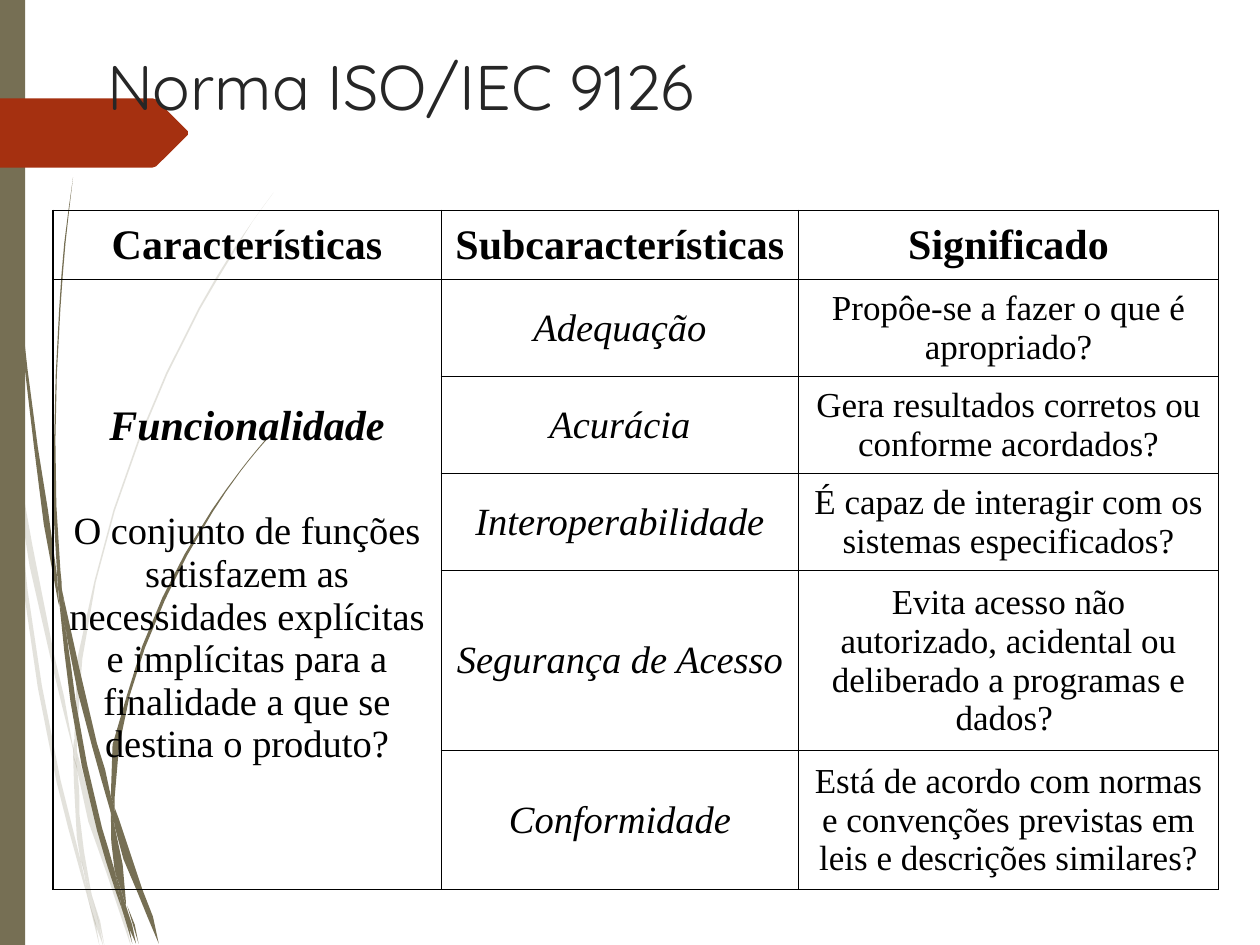
from dataclasses import dataclass

import pptx
import pptx.dml.color
import pptx.enum.shapes
import pptx.enum.text
import pptx.oxml
import pptx.oxml.ns
import pptx.util

EMU_PER_PX = 9144
SLIDE_WIDTH, SLIDE_HEIGHT = 1000, 750
OLIVE = pptx.dml.color.RGBColor(0x76, 0x6F, 0x54)
RUST = pptx.dml.color.RGBColor(0xA5, 0x30, 0x10)
CHARCOAL = pptx.dml.color.RGBColor(0x26, 0x26, 0x26)
BLACK = pptx.dml.color.RGBColor(0, 0, 0)
CENTER = pptx.enum.text.PP_ALIGN.CENTER
MIDDLE = pptx.enum.text.MSO_ANCHOR.MIDDLE
OUTER_LINE, INNER_LINE = 1.08, 0.45
STEPS = 2

Edge = list[tuple[float, float]]


@dataclass
class Blade:
    left: Edge
    right: Edge


@dataclass
class Entry:
    text: str
    size: int
    bold: bool = False
    italic: bool = False
    space_before: int = 0


PALE_BLADES = [
    Blade([(0, 299), (7, 344), (8, 350)], [(0, 282), (6, 322), (8, 350)]),
    Blade([(10, 345), (12, 376), (40, 522), (59, 599)], [(10, 345), (43, 520), (59, 586)]),
    Blade([(61, 596), (61, 610), (85, 694), (104, 751)],
          [(61, 596), (64, 607), (88, 692), (108, 751)]),
    Blade([(73, 711), (83, 751)], [(73, 711), (86, 751)]),
    Blade([(8, 350), (19, 470), (45, 621), (64, 693), (70, 714)],
          [(8, 350), (12, 376), (22, 469), (48, 619), (64, 683), (69, 707), (70, 714)]),
    Blade([(58, 599), (60, 646), (64, 683), (67, 692), (73, 711)],
          [(58, 599), (61, 608), (63, 646), (72, 706), (73, 711)]),
    Blade([(217, 153), (201, 175), (186, 197), (158, 244), (110, 348), (75, 461),
           (59, 584), (61, 596)],
          [(217, 153), (201, 175), (187, 198), (159, 245), (111, 349), (76, 462),
           (61, 584), (61, 596)]),
    Blade([(70, 714), (79, 751)], [(70, 714), (82, 751)]),
    Blade([(59, 586), (58, 599), (61, 610)], [(59, 586), (61, 596), (61, 610)]),
    Blade([(65, 683), (69, 707), (70, 714), (82, 751)],
          [(65, 683), (67, 692), (73, 711), (83, 751)]),
]
DARK_BLADES = [
    Blade([(2, 0), (3, 48), (5, 110), (14, 233), (27, 355), (46, 477), (47, 481)],
          [(3, 0), (4, 48), (6, 109), (15, 232), (30, 355), (45, 455), (47, 481)]),
    Blade([(50, 472), (53, 505), (73, 592), (88, 645)],
          [(50, 472), (77, 590), (88, 632), (88, 645)]),
    Blade([(91, 641), (91, 656), (109, 708), (126, 749)],
          [(91, 641), (94, 649), (113, 706), (130, 749)]),
    Blade([(47, 477), (56, 557), (77, 659), (92, 708), (97, 722)],
          [(47, 477), (53, 505), (60, 556), (81, 657), (91, 691), (96, 717), (97, 722)]),
    Blade([(58, 141), (51, 193), (47, 245), (43, 349), (45, 449), (49, 471)],
          [(58, 141), (52, 193), (48, 245), (44, 349), (48, 453), (50, 472)]),
    Blade([(101, 719), (110, 749)], [(101, 719), (113, 749)]),
    Blade([(45, 449), (47, 477), (53, 505)], [(45, 449), (50, 472), (53, 505)]),
    Blade([(215, 344), (203, 358), (191, 373), (168, 405), (129, 474), (101, 551),
           (88, 631), (91, 641)],
          [(216, 344), (203, 359), (191, 374), (169, 406), (131, 476), (103, 552),
           (91, 633), (91, 641)]),
    Blade([(97, 722), (105, 749)], [(97, 722), (108, 749)]),
    Blade([(88, 645), (91, 691), (96, 706), (100, 719)],
          [(88, 645), (91, 656), (100, 716), (100, 719)]),
    Blade([(88, 631), (88, 645), (91, 656)], [(88, 631), (91, 641), (91, 656)]),
    Blade([(91, 691), (96, 717), (97, 722), (108, 749)],
          [(91, 691), (96, 706), (100, 719), (110, 749)]),
]
ARROW = [(149, 107), (124, 132), (121, 133), (0, 133), (0, 78), (121, 78), (124, 79),
         (149, 104)]

COLUMN_WIDTHS = [308, 284, 333]
ROW_HEIGHTS = [55, 77, 77, 77, 143, 110]
HEADERS = ["Características", "Subcaracterísticas", "Significado"]
QUALITY = [
    Entry("Funcionalidade", 24, bold=True, italic=True),
    Entry("O conjunto de funções satisfazem as necessidades explícitas e implícitas "
          "para a finalidade a que se destina o produto?", 22, space_before=35),
]
MEANINGS = {
    "Adequação": "Propôe-se a fazer o que é apropriado?",
    "Acurácia": "Gera resultados corretos ou conforme acordados?",
    "Interoperabilidade": "É capaz de interagir com os sistemas especificados?",
    "Segurança de Acesso":
        "Evita acesso não autorizado, acidental ou deliberado a programas e dados? ",
    "Conformidade":
        "Está de acordo com normas e convenções previstas em leis e descrições similares?",
}


def px(length: float) -> pptx.util.Emu:
    return pptx.util.Emu(round(length * EMU_PER_PX))


def smooth_edge(edge: Edge) -> Edge:
    heights = [b[1] - a[1] for a, b in zip(edge, edge[1:])]
    rates = [(b[0] - a[0]) / h for a, b, h in zip(edge, edge[1:], heights)]
    inner = [(rates[i] * heights[i + 1] + rates[i + 1] * heights[i])
             / (heights[i] + heights[i + 1]) for i in range(len(rates) - 1)]
    slopes = [rates[0], *inner, rates[-1]]
    points = [edge[0]]
    for i, height in enumerate(heights):
        (x0, y0), (x1, _) = edge[i], edge[i + 1]
        for step in range(1, STEPS + 1):
            t = step / STEPS
            blend = t * t * (3 - 2 * t)
            bend = t * (1 - t) ** 2 * slopes[i] - t * t * (1 - t) * slopes[i + 1]
            points.append((x0 + (x1 - x0) * blend + height * bend, y0 + height * t))
    return points


def paint(shape, color: pptx.dml.color.RGBColor, opacity: int = 100) -> None:
    shape.shadow.inherit = False
    shape.fill.solid()
    shape.fill.fore_color.rgb = color
    shape.line.fill.background()
    if opacity < 100:
        fill = shape.element.spPr.find(pptx.oxml.ns.qn("a:solidFill"))
        fill[0].append(pptx.oxml.parse_xml(
            f'<a:alpha {pptx.oxml.ns.nsdecls("a")} val="{opacity * 1000}"/>'))


def draw_outline(shapes, points: Edge, color: pptx.dml.color.RGBColor, opacity: int = 100):
    corners = [(px(x), px(y)) for x, y in points]
    builder = shapes.build_freeform(*corners[0], scale=1.0)
    builder.add_line_segments(corners[1:], close=True)
    shape = builder.convert_to_shape()
    paint(shape, color, opacity)
    return shape


def draw_grass(slide, blades: list[Blade], opacity: int):
    group = slide.shapes.add_group_shape()
    for blade in blades:
        outline = smooth_edge(blade.left) + smooth_edge(blade.right)[-2::-1]
        draw_outline(group.shapes, outline, OLIVE, opacity)
    return group


def decorate_master(presentation, slide) -> None:
    pale_grass = draw_grass(slide, PALE_BLADES, 20)
    dark_grass = draw_grass(slide, DARK_BLADES, 100)
    side_bar = slide.shapes.add_shape(pptx.enum.shapes.MSO_SHAPE.RECTANGLE,
                                      0, 0, px(20), px(SLIDE_HEIGHT))
    paint(side_bar, OLIVE)
    arrow = draw_outline(slide.shapes, ARROW, RUST)
    master_tree = presentation.slide_master.shapes.element
    for decoration in (pale_grass, dark_grass, side_bar, arrow):
        master_tree.append(decoration.element)
    for number, properties in enumerate(master_tree.iter(pptx.oxml.ns.qn("p:cNvPr")), start=1):
        properties.set("id", str(number))


def fill_cell(cell, entries: list[Entry]) -> None:
    cell.vertical_anchor = MIDDLE
    cell.text_frame.text = "\n".join(entry.text for entry in entries)
    for paragraph, entry in zip(cell.text_frame.paragraphs, entries):
        paragraph.alignment = CENTER
        if entry.space_before:
            paragraph.space_before = pptx.util.Pt(entry.space_before)
        font = paragraph.runs[0].font
        font.name, font.size = "Times New Roman", pptx.util.Pt(entry.size)
        font.bold, font.italic = entry.bold, entry.italic
        font.color.rgb = BLACK


def frame_cell(cell, row: int, column: int) -> None:
    outer_sides = {"L": column == 0, "R": column == len(COLUMN_WIDTHS) - 1,
                   "T": row == 0, "B": row == len(ROW_HEIGHTS) - 1}
    properties = cell._tc.get_or_add_tcPr()
    for side, is_outer in outer_sides.items():
        width = pptx.util.Pt(OUTER_LINE if is_outer else INNER_LINE)
        properties.append(pptx.oxml.parse_xml(
            f'<a:ln{side} {pptx.oxml.ns.nsdecls("a")} w="{width}"><a:solidFill>'
            f'<a:srgbClr val="{BLACK}"/></a:solidFill></a:ln{side}>'))
    cell.fill.background()


def draw_table(slide) -> None:
    table = slide.shapes.add_table(len(ROW_HEIGHTS), len(COLUMN_WIDTHS), px(42), px(167),
                                   px(sum(COLUMN_WIDTHS)), px(sum(ROW_HEIGHTS))).table
    table.first_row = table.horz_banding = False
    for column, width in zip(table.columns, COLUMN_WIDTHS):
        column.width = px(width)
    for row, height in enumerate(ROW_HEIGHTS):
        table.rows[row].height = px(height)
        for column in range(len(COLUMN_WIDTHS)):
            frame_cell(table.cell(row, column), row, column)
    table.cell(1, 0).merge(table.cell(len(ROW_HEIGHTS) - 1, 0))
    for column, header in enumerate(HEADERS):
        fill_cell(table.cell(0, column), [Entry(header, 24, bold=True)])
    fill_cell(table.cell(1, 0), QUALITY)
    for row, (name, meaning) in enumerate(MEANINGS.items(), start=1):
        fill_cell(table.cell(row, 1), [Entry(name, 22, italic=True)])
        fill_cell(table.cell(row, 2), [Entry(meaning, 20)])


def place_title(slide) -> None:
    title = slide.shapes.title
    title.left, title.top, title.width, title.height = px(75), px(33), px(850), px(125)
    title.text_frame.text = "Norma ISO/IEC 9126"
    title.text_frame.vertical_anchor = pptx.enum.text.MSO_ANCHOR.TOP
    paragraph = title.text_frame.paragraphs[0]
    paragraph.alignment = pptx.enum.text.PP_ALIGN.LEFT
    font = paragraph.runs[0].font
    font.name, font.size = "Quicksand", pptx.util.Pt(36)
    font.color.rgb = CHARCOAL


def main() -> None:
    presentation = pptx.Presentation()
    presentation.slide_width, presentation.slide_height = px(SLIDE_WIDTH), px(SLIDE_HEIGHT)
    slide = presentation.slides.add_slide(presentation.slide_layouts[5])
    decorate_master(presentation, slide)
    place_title(slide)
    draw_table(slide)
    presentation.save("out.pptx")


if __name__ == "__main__":
    main()
